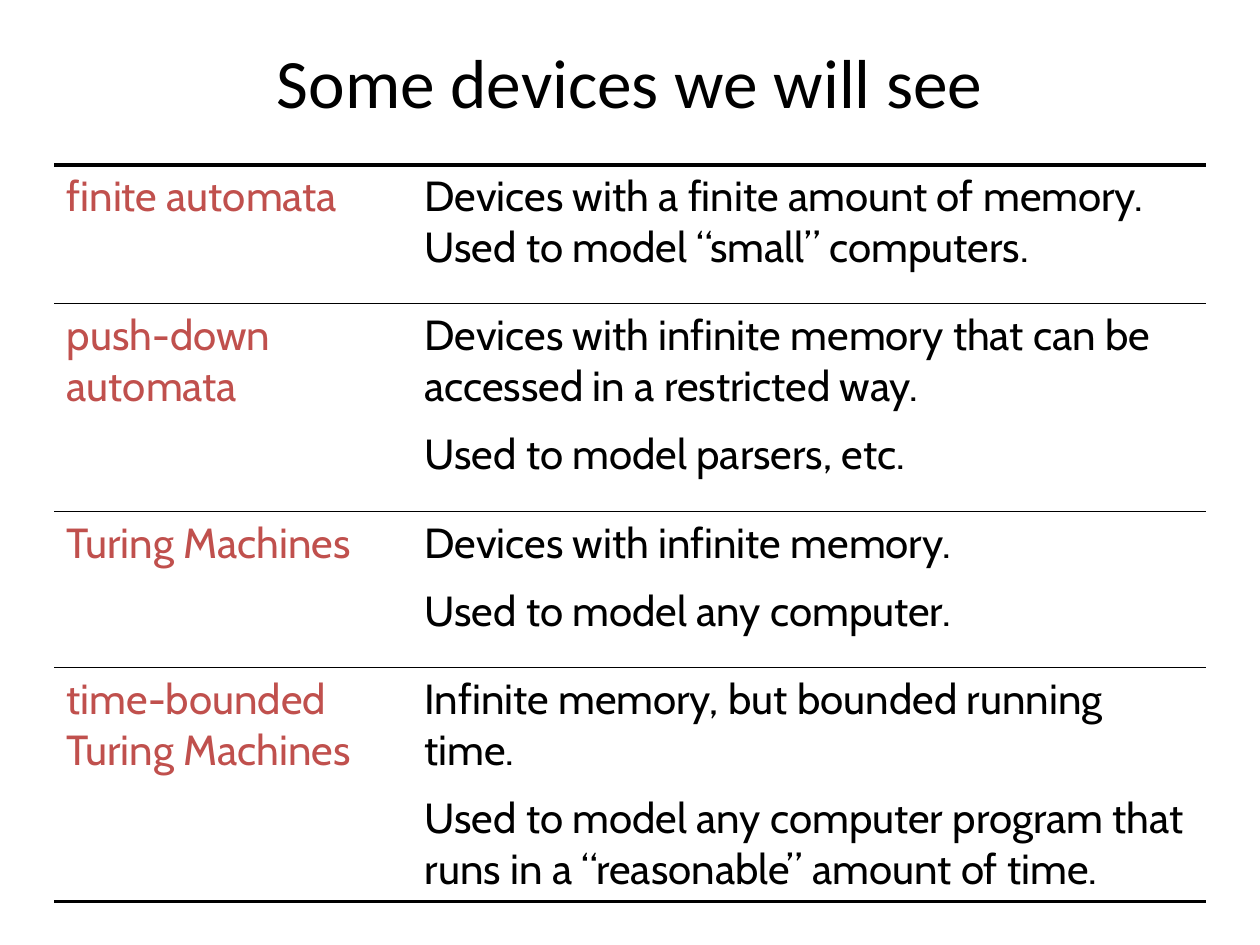
from dataclasses import dataclass

from lxml import etree
from pptx import Presentation
from pptx import util as u
from pptx.dml.color import RGBColor
from pptx.enum import text
from pptx.oxml import ns

PX = 9144  # EMU per px, 100 px to the inch


@dataclass(frozen=True)
class Theme:
    ink: str = "000000"
    accent: str = "C0504D"
    title_font: str = "Calibri"
    body_font: str = "Cabin"
    title_size: float = 39.6
    body_size: float = 24
    paragraph_gap: float = 9.6
    outer_rule: float = 2.25
    inner_rule: float = 1


@dataclass(frozen=True)
class Device:
    name: str
    description: tuple[str, ...]  # one entry per paragraph
    height: int


THEME = Theme()
LEFT, TITLE_TOP, TITLE_HEIGHT, TABLE_TOP = 43, 28, 72, 131
COLUMNS = (284, 630)
DEVICES = (
    Device("finite automata",
           ("Devices with a finite amount of memory.\n"
            "Used to model “small” computers.",), 110),
    Device("push-down automata",
           ("Devices with infinite memory that can be accessed in a restricted way.",
            "Used to model parsers, etc."), 165),
    Device("Turing Machines",
           ("Devices with infinite memory.",
            "Used to model any computer."), 124),
    Device("time-bounded Turing Machines",
           ("Infinite memory, but bounded running time.",
            "Used to model any computer program that runs in a “reasonable” amount of time."),
           140),
)


def px(length: int) -> u.Emu:
    return u.Emu(length * PX)


def add_run(paragraph, words: str, font: str, size: float, color: str) -> None:
    run = paragraph.add_run()
    run.text = words
    run.font.name = font
    run.font.size = u.Pt(size)
    run.font.color.rgb = RGBColor.from_string(color)


def write_cell(cell, paragraphs: tuple[str, ...], color: str) -> None:
    frame = cell.text_frame
    for index, words in enumerate(paragraphs):
        paragraph = frame.add_paragraph() if index else frame.paragraphs[0]
        paragraph.space_before = u.Pt(THEME.paragraph_gap if index else 0)
        for number, line in enumerate(words.split("\n")):
            if number:
                paragraph.add_line_break()
            add_run(paragraph, line, THEME.body_font, THEME.body_size, color)


def rule_cell(cell, top: float, bottom: float) -> None:
    """Leave the cell unfilled, with lines above and below only."""
    cell.fill.background()
    properties = cell._tc.get_or_add_tcPr()
    edges = (("L", 0), ("R", 0), ("T", top), ("B", bottom))
    for position, (side, width) in enumerate(edges):
        edge = etree.Element(ns.qn(f"a:ln{side}"), w=str(u.Pt(width)))
        if width:
            fill = etree.SubElement(edge, ns.qn("a:solidFill"))
            etree.SubElement(fill, ns.qn("a:srgbClr"), val=THEME.ink)
        else:
            etree.SubElement(edge, ns.qn("a:noFill"))
        properties.insert(position, edge)


def add_title(slide, words: str) -> None:
    title = slide.shapes.title
    title.left, title.top = px(LEFT), px(TITLE_TOP)
    title.width, title.height = px(sum(COLUMNS)), px(TITLE_HEIGHT)
    frame = title.text_frame
    frame.word_wrap = True
    frame.vertical_anchor = text.MSO_ANCHOR.MIDDLE
    heading = frame.paragraphs[0]
    heading.alignment = text.PP_ALIGN.CENTER
    add_run(heading, words, THEME.title_font, THEME.title_size, THEME.ink)


def add_device_table(slide, devices: tuple[Device, ...]) -> None:
    table = slide.shapes.add_table(
        len(devices), len(COLUMNS), px(LEFT), px(TABLE_TOP),
        px(sum(COLUMNS)), px(sum(device.height for device in devices))).table
    table.first_row = table.horz_banding = False
    for column, width in zip(table.columns, COLUMNS):
        column.width = px(width)

    last = len(devices) - 1
    for index, (row, device) in enumerate(zip(table.rows, devices)):
        row.height = px(device.height)
        name, description = row.cells
        write_cell(name, (device.name,), THEME.accent)
        write_cell(description, device.description, THEME.ink)
        top = THEME.inner_rule if index else THEME.outer_rule
        bottom = THEME.inner_rule if index < last else THEME.outer_rule
        for cell in (name, description):
            rule_cell(cell, top, bottom)


def main() -> None:
    deck = Presentation()
    deck.slide_width, deck.slide_height = px(1000), px(750)
    slide = deck.slides.add_slide(deck.slide_layouts[5])  # title only

    # Heading
    add_title(slide, "Some devices we will see")

    # Devices and what they model
    add_device_table(slide, DEVICES)

    deck.save("out.pptx")


if __name__ == "__main__":
    main()
